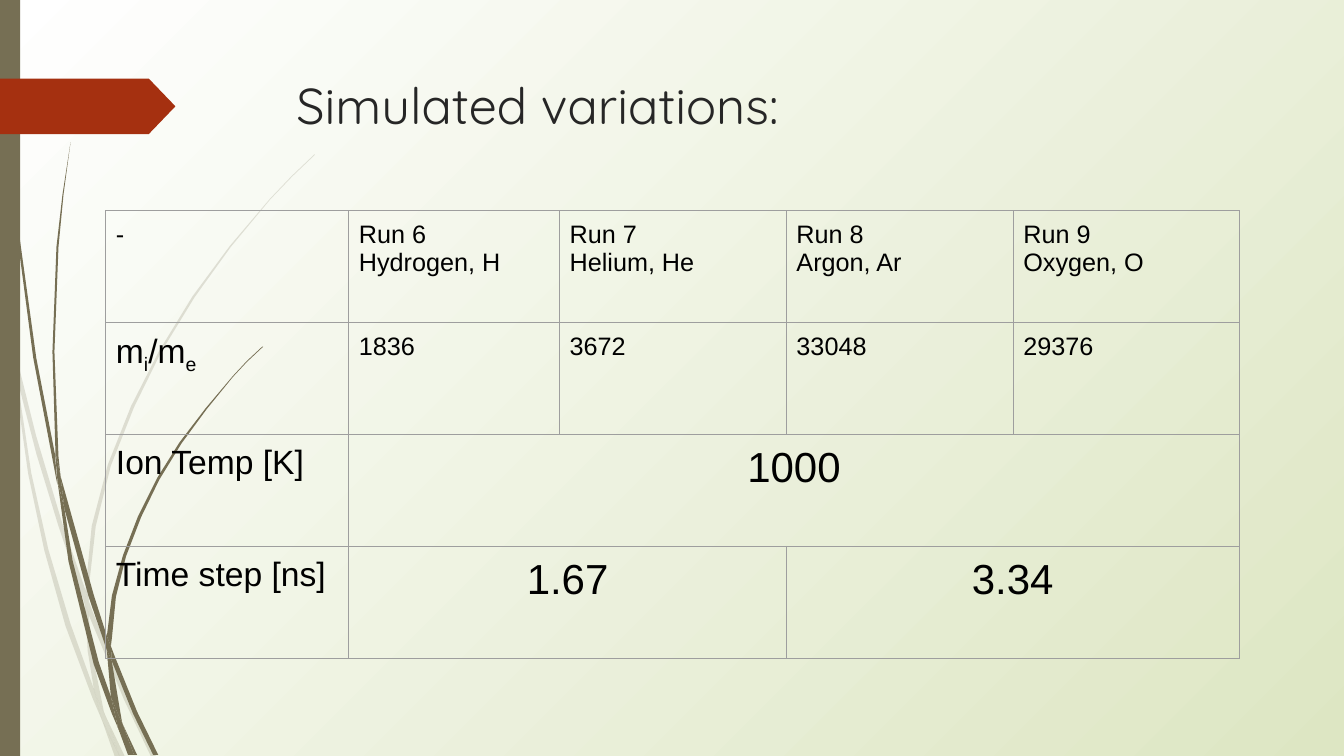
from pptx import Presentation
from pptx.dml.color import RGBColor
from pptx.enum.shapes import MSO_SHAPE as SHAPE
from pptx.enum.text import PP_ALIGN as ALIGN
from pptx.oxml.ns import qn
from pptx.util import Inches, Pt
from lxml import etree

WHITE = RGBColor(0xFF, 0xFF, 0xFF)
PALE_GREEN = RGBColor(0xDD, 0xE6, 0xC3)
OLIVE = RGBColor(0x76, 0x6F, 0x54)
RED = RGBColor(0xA5, 0x30, 0x10)
INK = RGBColor(0x26, 0x26, 0x26)
BLACK = RGBColor(0, 0, 0)
GREY = RGBColor(0x9E, 0x9E, 0x9E)

# Corner points of the pieces that make up the grass blades
PALE_GRASS = [
    [(0.11, 3.5), (0.09, 3.22), (0, 2.82), (0, 2.99), (0.1, 3.44)],
    [(0.58, 5.22), (0.84, 5.99), (0.85, 5.86), (0.62, 5.2), (0.36, 4.33),
     (0.14, 3.45), (0.17, 3.76), (0.36, 4.5)],
    [(0.92, 6.07), (0.88, 5.96), (0.88, 6.1), (1.23, 6.94), (1.5, 7.51),
     (1.55, 7.51), (1.27, 6.92)],
    [(1.19, 7.51), (1.24, 7.51), (1.05, 7.11)],
    [(0.93, 6.83), (0.7, 6.19), (0.48, 5.45), (0.31, 4.69), (0.17, 3.76),
     (0.11, 3.5), (0.28, 4.7), (0.44, 5.46), (0.65, 6.21), (0.92, 6.93),
     (1.01, 7.14), (0.99, 7.07)],
    [(0.84, 5.99), (0.87, 6.46), (0.93, 6.83), (0.96, 6.92), (1.05, 7.11),
     (1.03, 7.06), (0.91, 6.46), (0.88, 6.1), (0.88, 6.08)],
    [(0.88, 5.84), (0.95, 5.22), (1.1, 4.62), (1.33, 4.04), (1.6, 3.49),
     (1.93, 2.95), (2.29, 2.45), (2.68, 1.98), (2.9, 1.75), (3.12, 1.54),
     (3.12, 1.53), (2.89, 1.75), (2.68, 1.97), (2.28, 2.44), (1.91, 2.94),
     (1.58, 3.48), (1.3, 4.03), (1.07, 4.61), (0.91, 5.22), (0.85, 5.84),
     (0.85, 5.86), (0.88, 5.96)],
    [(1.01, 7.14), (1.14, 7.51), (1.19, 7.51)],
    [(0.88, 6.08), (0.88, 6.1), (0.88, 5.96), (0.85, 5.86), (0.84, 5.99)],
    [(0.96, 6.92), (0.93, 6.83), (0.99, 7.07), (1.01, 7.14), (1.19, 7.51),
     (1.05, 7.11)],
]
DARK_GRASS = [
    [(0.07, 1.1), (0.17, 2.33), (0.33, 3.55), (0.56, 4.76), (0.57, 4.81),
     (0.55, 4.57), (0.55, 4.53), (0.36, 3.55), (0.19, 2.32), (0.08, 1.09),
     (0.05, 0.48), (0.03, 0), (0.03, 0.48)],
    [(0.88, 5.92), (1.06, 6.45), (1.06, 6.33), (1.06, 6.31), (0.93, 5.9),
     (0.6, 4.72), (0.64, 5.05)],
    [(1.13, 6.49), (1.1, 6.41), (1.11, 6.56), (1.32, 7.08), (1.52, 7.49),
     (1.57, 7.49), (1.36, 7.06)],
    [(1.1, 6.91), (0.98, 6.57), (0.72, 5.56), (0.64, 5.05), (0.57, 4.77),
     (0.68, 5.57), (0.93, 6.59), (1.11, 7.08), (1.17, 7.22), (1.16, 7.17)],
    [(0.6, 4.72), (0.58, 4.53), (0.54, 3.49), (0.58, 2.45), (0.63, 1.93),
     (0.7, 1.41), (0.62, 1.93), (0.56, 2.45), (0.52, 3.49), (0.55, 4.49)],
    [(1.33, 7.49), (1.36, 7.49), (1.22, 7.19)],
    [(0.57, 4.77), (0.64, 5.05), (0.6, 4.72), (0.55, 4.49), (0.55, 4.53)],
    [(1.11, 6.33), (1.15, 5.92), (1.25, 5.52), (1.4, 5.13), (1.58, 4.76),
     (1.8, 4.4), (2.05, 4.06), (2.31, 3.74), (2.45, 3.59), (2.61, 3.44),
     (2.6, 3.44), (2.45, 3.58), (2.31, 3.73), (2.04, 4.05), (1.78, 4.39),
     (1.56, 4.74), (1.37, 5.12), (1.22, 5.51), (1.11, 5.91), (1.06, 6.31),
     (1.1, 6.41)],
    [(1.17, 7.22), (1.27, 7.49), (1.31, 7.49)],
    [(1.06, 6.45), (1.1, 6.91), (1.16, 7.06), (1.22, 7.19), (1.21, 7.16),
     (1.11, 6.56), (1.09, 6.51)],
    [(1.06, 6.45), (1.09, 6.51), (1.11, 6.56), (1.1, 6.41), (1.06, 6.31),
     (1.06, 6.33)],
    [(1.16, 7.06), (1.1, 6.91), (1.16, 7.17), (1.17, 7.22), (1.3, 7.49),
     (1.33, 7.49), (1.22, 7.19)],
]


def paint(sp, color, alpha=None):
    sp.shadow.inherit = False
    sp.fill.solid()
    sp.fill.fore_color.rgb = color
    sp.line.fill.background()
    if alpha:
        clr = sp.fill._xPr.find(".//" + qn("a:srgbClr"))
        etree.SubElement(clr, qn("a:alpha"), val=str(alpha * 1000))


def add_grass(s, left, top, pieces, alpha=None):
    group = s.shapes.add_group_shape()
    for points in pieces:
        outline = [(Inches(left + x), Inches(top + y)) for x, y in points]
        fb = group.shapes.build_freeform(*outline[0], scale=1.0)
        fb.add_line_segments(outline[1:], close=True)
        paint(fb.convert_to_shape(), OLIVE, alpha)


def add_background(s):
    fill = s.background.fill
    fill.gradient()
    for stop, color in zip(fill.gradient_stops, (WHITE, PALE_GREEN)):
        stop.color.rgb = color
    grad = s._element.find(".//" + qn("a:gradFill"))
    grad.remove(grad.find(qn("a:lin")))
    circle = etree.Element(qn("a:path"), {"path": "circle"})
    etree.SubElement(circle, qn("a:fillToRect"), r="100000", b="100000")
    grad.find(qn("a:gsLst")).addnext(circle)


def add_decoration(s, left, top, height):
    add_grass(s, left, top, PALE_GRASS, alpha=20)
    add_grass(s, left, top, DARK_GRASS)
    # Side bar and title marker
    bar = s.shapes.add_shape(SHAPE.RECTANGLE, Inches(left), Inches(top),
                             Inches(0.2), Inches(height))
    paint(bar, OLIVE)
    marker = s.shapes.add_shape(SHAPE.PENTAGON, Inches(left),
                                Inches(top + 0.78), Inches(1.74), Inches(0.55))
    marker.adjustments[0] = 0.48
    paint(marker, RED)


def add_title(s, left, top, width, height, text):
    tf = s.shapes.add_textbox(Inches(left), Inches(top), Inches(width),
                              Inches(height)).text_frame
    tf.word_wrap = True
    p = tf.paragraphs[0]
    p.text = text
    p.font.size, p.font.name = Pt(36), "Quicksand"
    p.font.color.rgb = INK


def add_borders(cell):
    tc_pr = cell._tc.get_or_add_tcPr()
    for i, side in enumerate(("lnL", "lnR", "lnT", "lnB")):
        ln = etree.Element(qn("a:" + side), w=str(Pt(0.75)))
        fill = etree.SubElement(ln, qn("a:solidFill"))
        etree.SubElement(fill, qn("a:srgbClr"), val=str(GREY))
        tc_pr.insert(i, ln)


def fill_cell(cell, lines, size, align):
    """Each line is a string, or a list of (text, is_subscript) runs."""
    tf = cell.text_frame
    for i, line in enumerate(lines):
        p = tf.add_paragraph() if i else tf.paragraphs[0]
        p.alignment = align
        p.font.size, p.font.name = Pt(size), "Arial"
        p.font.color.rgb = BLACK
        for text, sub in [(line, False)] if isinstance(line, str) else line:
            r = p.add_run()
            r.text = text
            if sub:
                r.font._element.set("baseline", "-25000")


def add_runs_table(s, left, top, col_widths, row_height):
    # Cells as (lines, columns spanned)
    mass_ratio = [("m", False), ("i", True), ("/m", False), ("e", True)]
    runs = [("Run 6", "Hydrogen, H"), ("Run 7", "Helium, He"),
            ("Run 8", "Argon, Ar"), ("Run 9", "Oxygen, O")]
    masses = ("1836", "3672", "33048", "29376")
    rows = [[(["-"], 1)] + [(run, 1) for run in runs],
            [([mass_ratio], 1)] + [([mass], 1) for mass in masses],
            [(["Ion Temp [K]"], 1), (["1000"], 4)],
            [(["Time step [ns]"], 1), (["1.67"], 2), (["3.34"], 2)]]
    table = s.shapes.add_table(
        len(rows), len(col_widths), Inches(left), Inches(top),
        Inches(sum(col_widths)), Inches(row_height * len(rows))).table
    table.first_row = table.horz_banding = False
    for column, width in zip(table.columns, col_widths):
        column.width = Inches(width)
    for cell in table.iter_cells():
        cell.fill.background()
        cell.margin_left = cell.margin_right = Inches(0.1)
        cell.margin_top = cell.margin_bottom = Inches(0.1)
        add_borders(cell)
    for i, row in enumerate(rows):
        table.rows[i].height = Inches(row_height)
        j = 0
        for lines, span in row:
            cell = table.cell(i, j)
            if span > 1:
                cell.merge(table.cell(i, j + span - 1))
            size = 30 if span > 1 else 24 if i and not j else 18
            fill_cell(cell, lines, size,
                      ALIGN.CENTER if span > 1 else ALIGN.LEFT)
            j += span


def main():
    prs = Presentation()
    prs.slide_width, prs.slide_height = Inches(13.33), Inches(7.5)
    s = prs.slides.add_slide(prs.slide_layouts[6])
    add_background(s)
    add_decoration(s, 0, 0, 7.5)
    add_title(s, 2.84, 0.69, 9.75, 1.4, "Simulated variations:")
    add_runs_table(s, 1.05, 2.09, [2.41, 2.09, 2.25, 2.25, 2.24], 1.11)
    prs.save("out.pptx")


if __name__ == "__main__":
    main()
